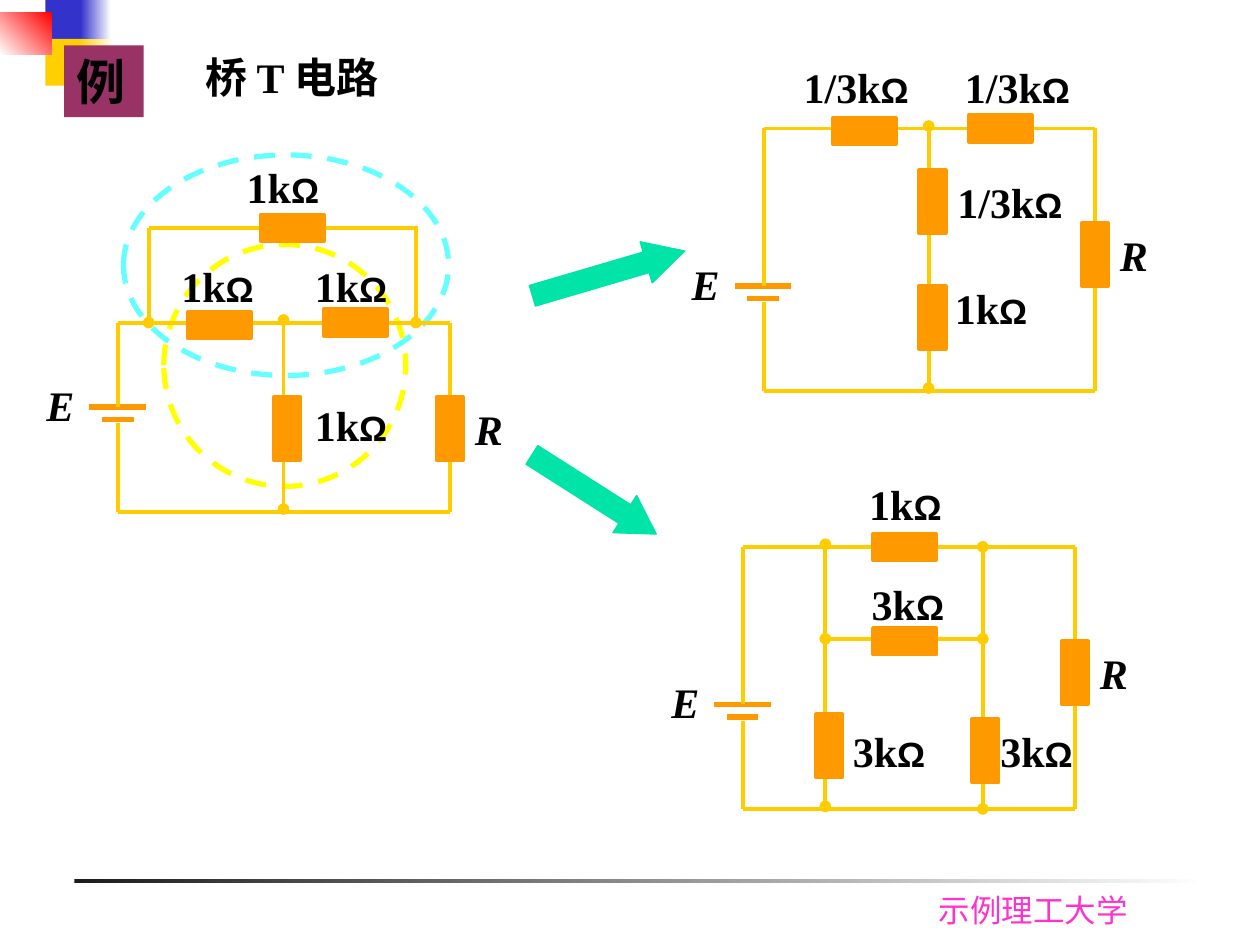
import pptx
import pptx.util
import pptx.dml.color
import pptx.enum.dml
import pptx.enum.shapes
import pptx.enum.text
import pptx.oxml.ns
import lxml.etree

Inches, Pt = pptx.util.Inches, pptx.util.Pt
RGB = pptx.dml.color.RGBColor.from_string
KIND = pptx.enum.shapes.MSO_SHAPE
qn = pptx.oxml.ns.qn
HUE = {
    "black": "000000", "white": "FFFFFF", "ink": "1C1C1C", "pink": "FF33CC",
    "blue": "3333CC", "gold": "FFCF01", "red": "FF0000", "plum": "993366",
    "wire": "FFCC00", "part": "FF9900", "green": "00E4A8",
    "cyan": "66FFFF", "yellow": "FFFF00",
}

deck = pptx.Presentation()
deck.slide_width, deck.slide_height = Inches(10), Inches(7.5)
slide = deck.slides.add_slide(deck.slide_layouts[6])


def draw(home, kind, area, fill=None, line=None, width=2.24, angle=0):
    """Add a preset shape; a pair of fill colours makes a gradient."""
    shape = home.add_shape(kind, *map(Inches, area))
    shape.shadow.inherit = False
    if fill is None:
        shape.fill.background()
    elif isinstance(fill, tuple):
        shape.fill.gradient()
        shape.fill.gradient_angle = angle
        for stop, hue in zip(shape.fill.gradient_stops, fill):
            stop.color.rgb = RGB(HUE[hue])
    else:
        shape.fill.solid()
        shape.fill.fore_color.rgb = RGB(HUE[fill])
    if line:
        shape.line.color.rgb = RGB(HUE[line])
        shape.line.width = Pt(width)
    else:
        shape.line.fill.background()
    return shape


def write(shape, runs, hue="black", bold=True, italic=False):
    """Fill a shape with one line of (text, size, font) runs."""
    frame = shape.text_frame
    frame.word_wrap = True
    para = frame.paragraphs[0]
    para.alignment = pptx.enum.text.PP_ALIGN.LEFT
    for text, size, face in runs:
        run = para.add_run()
        run.text = text
        run.font.size, run.font.name = Pt(size), face
        run.font.bold, run.font.italic = bold, italic
        run.font.color.rgb = RGB(HUE[hue])


# Footer and corner blocks
draw(slide.shapes, KIND.RECTANGLE, (0.59, 6.98, 9, 0.03), ("ink", "white"))
foot = slide.shapes.add_textbox(*map(Inches, (7.35, 7.02, 1.81, 0.4)))
write(foot, [("示例理工大学", 18, "Karla")], "pink", False)
for area, fill, angle in [
    ((0.36, 0, 0.32, 0.37), "blue", 0),
    ((0.64, 0, 0.24, 0.37), ("blue", "white"), 0),
    ((0.36, 0.31, 0.31, 0.37), "gold", 0),
    ((0.63, 0.31, 0.27, 0.37), ("gold", "white"), 0),
    ((0, 0.1, 0.41, 0.33), ("white", "red"), 45),
]:
    draw(slide.shapes, KIND.RECTANGLE, area, fill, angle=angle)

# Title
title = slide.shapes.add_textbox(*map(Inches, (1.53, 0.36, 1.9, 0.5)))
write(title, [("桥 T 电路", 24, "Times New Roman")])
badge = draw(slide.shapes, KIND.RECTANGLE, (0.51, 0.36, 0.63, 0.57), "plum")
write(badge, [("例", 28, "Times New Roman")])

# Arrows to the two results
for area, turn, tip in [
    ((4.2, 2, 1.26, 0.34), 343.6, 0.936),
    ((4.13, 3.75, 1.17, 0.35), 32.5, 0.845),
]:
    arrow = draw(slide.shapes, KIND.RIGHT_ARROW, area, "green", "green", 0.74)
    arrow.adjustments[1] = tip
    arrow.rotation = turn

# Dashed rings round the star and the delta
for area, hue in [((0.98, 1.23, 2.58, 1.75), "cyan"),
                  ((1.3, 1.94, 1.92, 1.92), "yellow")]:
    ring = draw(slide.shapes, KIND.OVAL, area, None, hue, 3)
    ring.line.dash_style = pptx.enum.dml.MSO_LINE.DASH

# Circuits: frame edges, battery and load heights, then their own parts.
# Wires are (x1, y1, x2, y2, dots); parts are centres (x, y, flat).
circuits = [
    {"left": 6.06, "top": 1.02, "base": 3.1, "cell": 2.27, "load": 2.02,
     "wires": [],
     "parts": [(7.4, 2.52, 0), (7.4, 1.6, 0), (7.94, 1.02, 1), (6.86, 1.04, 1)],
     "tags": [("1/3k", 6.28, 0.44), ("1/3k", 7.56, 0.44),
              ("1/3k", 7.5, 1.35), ("1k", 7.48, 2.19)]},
    {"left": 5.9, "top": 4.34, "base": 6.42, "cell": 5.59, "load": 5.34,
     "wires": [(7.8, 4.34, 7.8, 6.42, 2), (6.55, 5.07, 7.8, 5.07, 2)],
     "parts": [(7.18, 4.34, 1), (7.18, 5.09, 1), (6.58, 5.92, 0), (7.82, 5.96, 0)],
     "tags": [("1k", 6.8, 3.75), ("3k", 6.82, 4.54),
              ("3k", 6.67, 5.71), ("3k", 7.84, 5.71)]},
    {"left": 0.94, "top": 2.56, "base": 4.06, "cell": 3.23, "load": 3.4,
     "wires": [(1.18, 2.56, 1.18, 1.81, 1), (1.18, 1.81, 3.32, 1.81, 0),
               (3.3, 2.56, 3.3, 1.81, 1)],
     "parts": [(2.28, 3.4, 0), (2.82, 2.56, 1), (1.74, 2.58, 1), (2.32, 1.81, 1)],
     "tags": [("1k", 1.86, 1.23), ("1k", 1.34, 2.02),
              ("1k", 2.4, 2.02), ("1k", 2.4, 3.12)]},
]
for plan in circuits:
    left, top, base = plan["left"], plan["top"], plan["base"]
    cell, load = plan["cell"], plan["load"]
    right = left + 2.63
    mid = left + (0.65 if plan["left"] == 5.9 else 1.31)
    home = slide.shapes.add_group_shape().shapes

    # Battery plates and wires
    plates = [(left - 0.23, cell, left + 0.22, cell, 0),
              (left - 0.13, cell + 0.1, left + 0.12, cell + 0.1, 0)]
    wires = [(left, cell + 0.13, left, base, 0), (left, cell, left, top, 0),
             (left, top, right, top, 0), (left, base, right, base, 0),
             (right, top, right, base, 0),
             (mid, top - 0.02, mid, base - 0.02, 2)] + plan["wires"]
    for hue, width, group in [("part", 3, plates), ("wire", 2.24, wires)]:
        for *ends, dots in group:
            wire = home.add_connector(
                pptx.enum.shapes.MSO_CONNECTOR.STRAIGHT, *map(Inches, ends))
            wire.line.color.rgb = RGB(HUE[hue])
            wire.line.width = Pt(width)
            props = wire.element.spPr
            for end in ("a:headEnd", "a:tailEnd")[:dots]:
                lxml.etree.SubElement(props.find(qn("a:ln")), qn(end), type="oval")
            lxml.etree.SubElement(props, qn("a:effectLst"))

    # Resistors
    for x, y, flat in plan["parts"] + [(right, load, 0)]:
        wide, high = (0.5, 0.21) if flat else (0.21, 0.5)
        draw(home, KIND.RECTANGLE, (x - wide / 2, y - high / 2, wide, high),
             "part", "part")

    # Labels
    for text, x, y in plan["tags"]:
        tag = home.add_textbox(*map(Inches, (x, y, 1.12, 0.5)))
        write(tag, [(text, 24, "Times New Roman"), ("Ω", 20, "Arial")])
    for text, x, y, wide in [("R", right + 0.1, load - 0.25, 0.35),
                             ("E", left - 0.67, cell - 0.27, 0.43)]:
        tag = home.add_textbox(*map(Inches, (x, y, wide, 0.5)))
        write(tag, [(text, 24, "Times New Roman")], italic=True)

deck.save("out.pptx")
